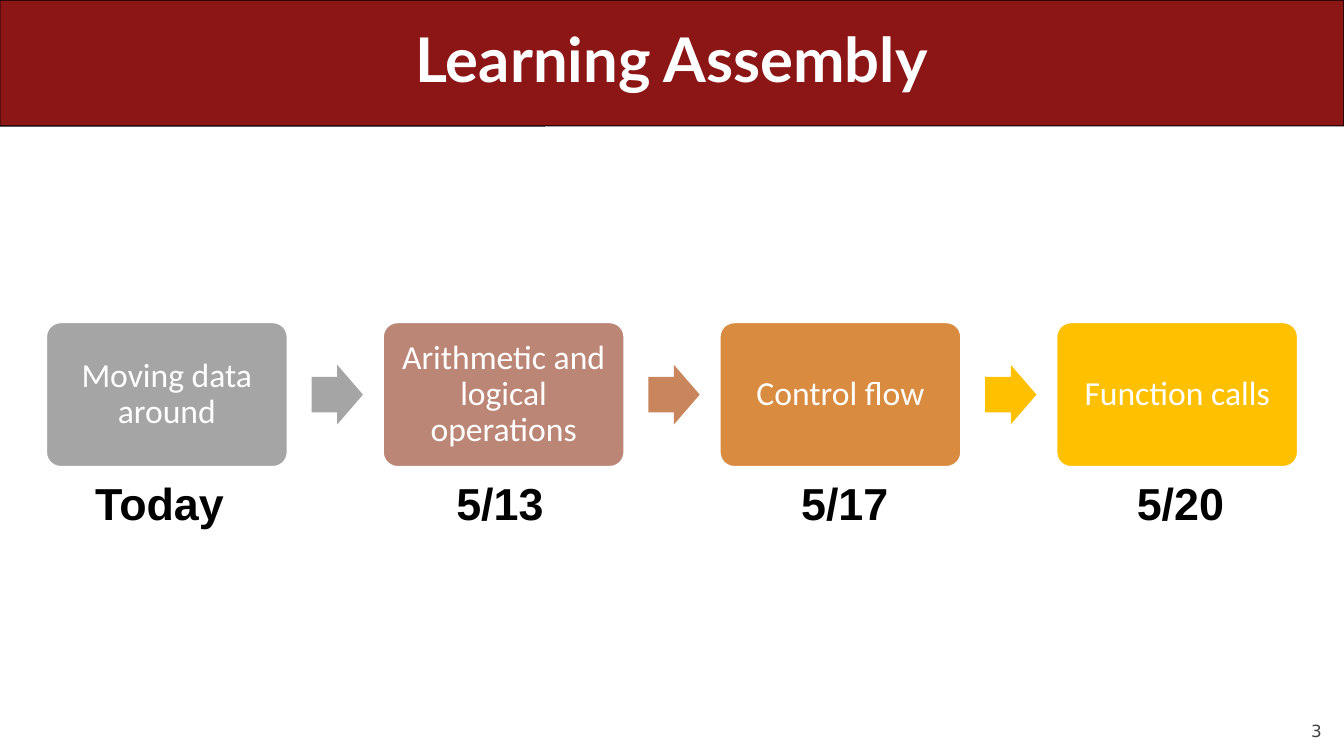
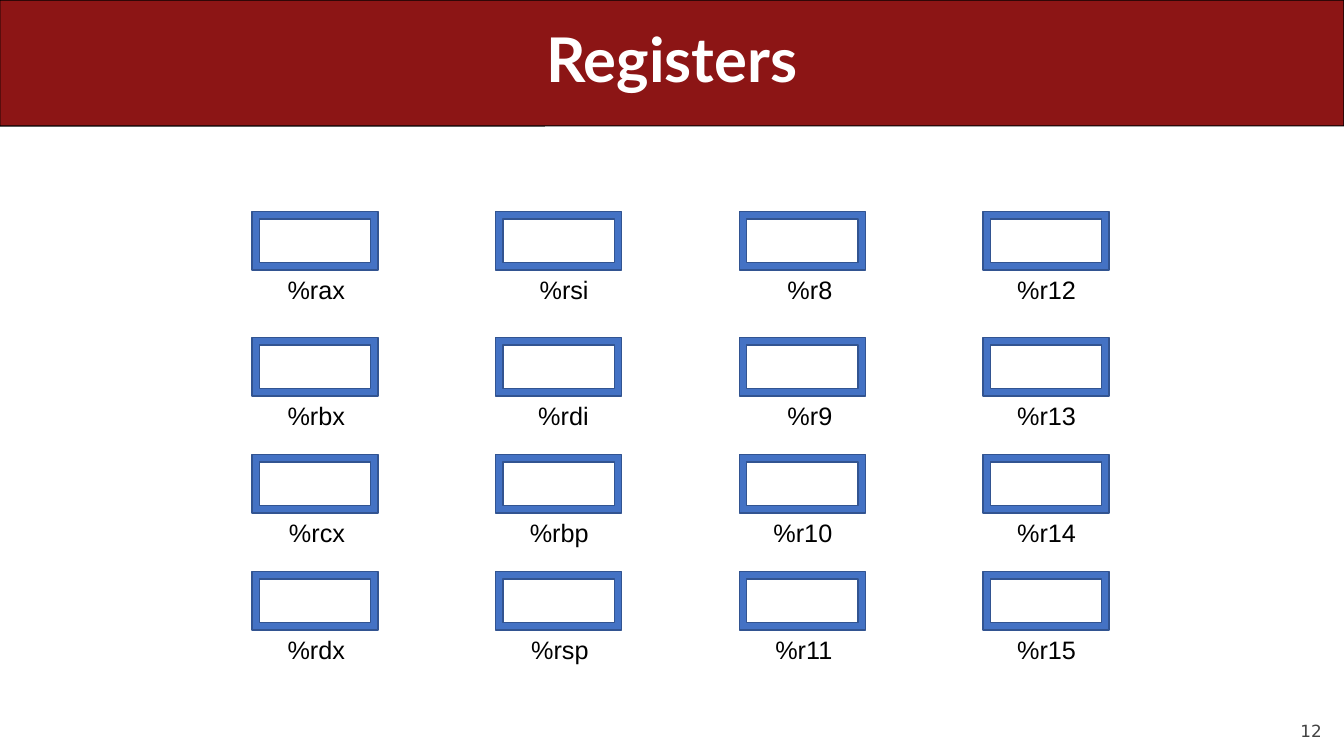
from pptx import Presentation
from pptx.dml.color import RGBColor
from pptx.enum.shapes import MSO_SHAPE as SHAPE
from pptx.enum.text import MSO_ANCHOR as ANCHOR, MSO_AUTO_SIZE as AUTO, PP_ALIGN as ALIGN
from pptx.util import Inches, Pt

COLORS = {
    "band": "8C1515",
    "white": "FFFFFF",
    "black": "000000",
    "number": "424242",
    "frame": "4472C4",
    "frame_line": "325491",
    "gray": "A5A5A5",
    "rose": "BB8676",
    "copper": "C9865C",
    "orange": "D98B3F",
    "gold": "FFC000",
}

# Topic, box colour, colour of the arrow after it
STEPS = [
    ("Moving data around", "gray", "gray"),
    ("Arithmetic and logical operations", "rose", "copper"),
    ("Control flow", "orange", "gold"),
    ("Function calls", "gold", None),
]
# Date, left, width
DATES = [("Today", 0.83, 1.49), ("5/13", 4.42, 1.07),
         ("5/17", 7.84, 1.07), ("5/20", 11.17, 1.07)]

REGISTER_COLUMNS = [
    ["%rax", "%rbx", "%rcx", "%rdx"],
    ["%rsi", "%rdi", "%rbp", "%rsp"],
    ["%r8", "%r9", "%r10", "%r11"],
    ["%r12", "%r13", "%r14", "%r15"],
]
ROW_TOPS = [2.1, 3.35, 4.51, 5.67]


def rgb(name):
    return RGBColor.from_string(COLORS[name])


def write(sp, text, size=18, font="Arial", color="black", bold=False,
          align=ALIGN.RIGHT, anchor=ANCHOR.TOP, spacing=1.0, inset=(0.1, 0.05)):
    """Put one formatted paragraph into a shape."""
    tf = sp.text_frame
    tf.word_wrap = True
    tf.auto_size = AUTO.NONE
    tf.vertical_anchor = anchor
    tf.margin_left = tf.margin_right = Inches(inset[0])
    tf.margin_top = tf.margin_bottom = Inches(inset[1])
    p = tf.paragraphs[0]
    p.alignment = align
    p.line_spacing = spacing
    r = p.add_run()
    r.text = text
    r.font.size = Pt(size)
    r.font.name = font
    r.font.bold = bold
    r.font.color.rgb = rgb(color)


def add_text(slide, text, left, top, width, height, **fmt):
    sp = slide.shapes.add_textbox(*map(Inches, (left, top, width, height)))
    write(sp, text, **fmt)


def add_shape(slide, kind, left, top, width, height, fill,
              line=None, line_width=1, adjust=()):
    sp = slide.shapes.add_shape(kind, *map(Inches, (left, top, width, height)))
    sp.shadow.inherit = False
    sp.fill.solid()
    sp.fill.fore_color.rgb = rgb(fill)
    if line:
        sp.line.color.rgb = rgb(line)
        sp.line.width = Pt(line_width)
    else:
        sp.line.fill.background()
    for i, value in enumerate(adjust):
        sp.adjustments[i] = value
    return sp


def add_slide(prs, title, number):
    """Start a slide with the shared band, title and page number."""
    slide = prs.slides.add_slide(prs.slide_layouts[5])
    add_text(slide, str(number), 12, 6.95, 1.11, 0.4, size=12, font="DejaVu Sans",
             color="number", anchor=ANCHOR.BOTTOM, inset=(0, 0))
    band = add_shape(slide, SHAPE.ROUNDED_RECTANGLE, 0, 0, 13.33, 1.25, "band",
                     line="black", line_width=0.75, adjust=[0.001])
    sp = slide.shapes.title
    sp.element.addprevious(band.element)  # the band lies behind the title
    sp.left, sp.top, sp.width, sp.height = map(Inches, (0.5, 0, 12.33, 1.25))
    write(sp, title, size=44, font="Lato", color="white", bold=True,
          align=ALIGN.CENTER, anchor=ANCHOR.MIDDLE, spacing=0.9)
    return slide


def add_step(slide, left, topic, fill, arrow):
    """Draw one box of the process and the arrow to the next."""
    box = add_shape(slide, SHAPE.ROUNDED_RECTANGLE, left, 3.2, 2.39, 1.43, fill,
                    line="white", adjust=[0.1])
    write(box, topic, size=24, font="Calibri", color="white", align=ALIGN.CENTER,
          anchor=ANCHOR.MIDDLE, spacing=0.9, inset=(0.1, 0.1))
    if arrow:
        add_shape(slide, SHAPE.RIGHT_ARROW, left + 2.63, 3.62, 0.51, 0.59, arrow,
                  adjust=[0.6, 0.5])


def add_register(slide, left, top, name):
    add_shape(slide, SHAPE.FRAME, left, top, 1.25, 0.58, "frame", line="frame_line")
    add_text(slide, name, left + 0.17, top + 0.57, 0.85, 0.4)


def learning_slide(prs):
    slide = add_slide(prs, "Learning Assembly", 3)
    for i, step in enumerate(STEPS):
        add_step(slide, 0.46 + 3.34 * i, *step)
    for date, left, width in DATES:
        add_text(slide, date, left, 4.67, width, 0.64, size=32, bold=True)


def registers_slide(prs):
    slide = add_slide(prs, "Registers", 12)
    for i, names in enumerate(REGISTER_COLUMNS):
        for top, name in zip(ROW_TOPS, names):
            add_register(slide, 2.5 + 7.25 / 3 * i, top, name)


def main():
    prs = Presentation()
    prs.slide_width, prs.slide_height = Inches(13.33), Inches(7.5)
    learning_slide(prs)
    registers_slide(prs)
    prs.save("out.pptx")


if __name__ == "__main__":
    main()
